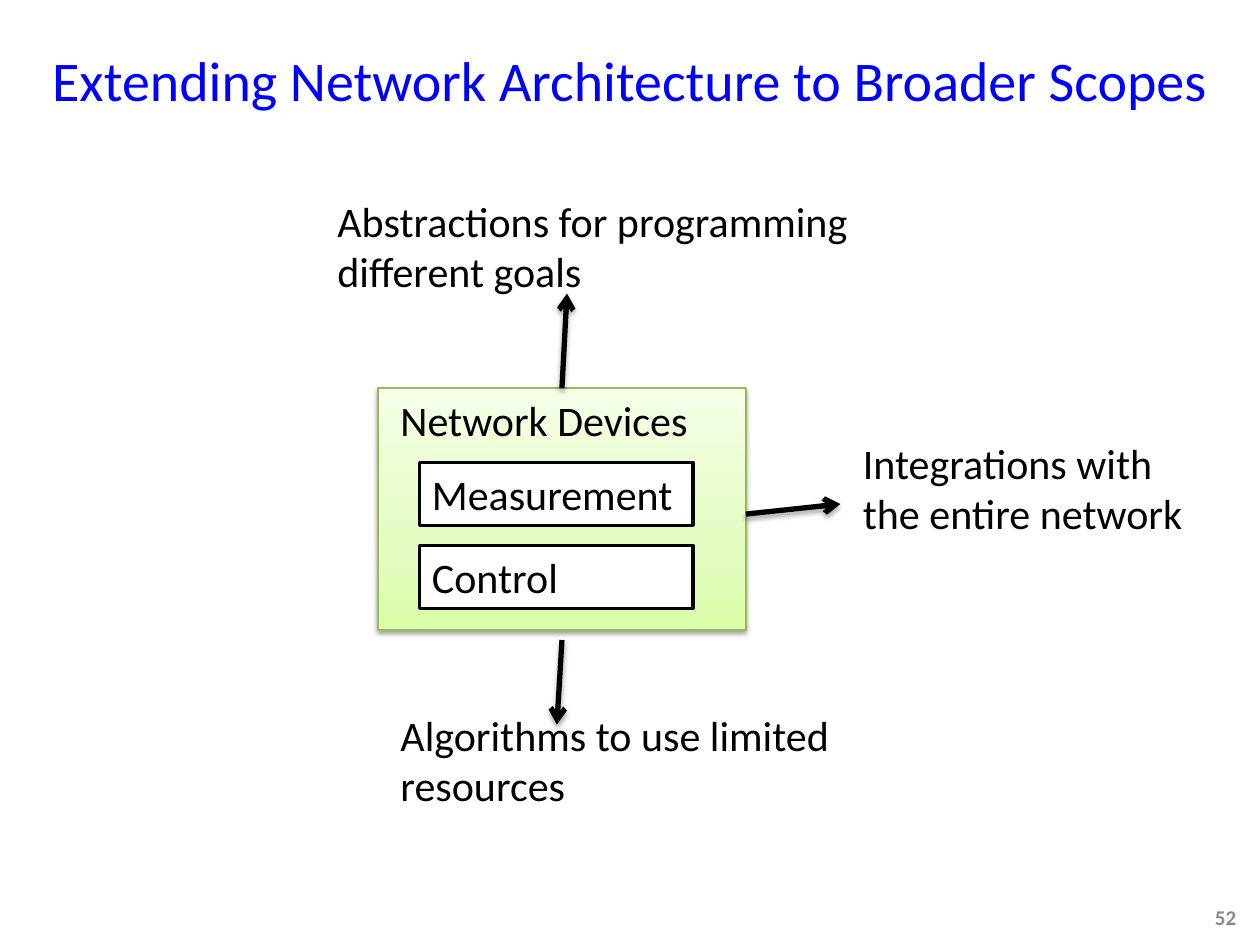
from lxml import etree
from pptx import Presentation
from pptx import util as u
from pptx.dml.color import RGBColor
from pptx.enum import shapes, text
from pptx.oxml import parse_xml
from pptx.oxml.ns import nsdecls, qn

BLACK = RGBColor(0x00, 0x00, 0x00)
WHITE = RGBColor(0xFF, 0xFF, 0xFF)
BLUE = RGBColor(0x00, 0x00, 0xFF)
GREY = RGBColor(0x89, 0x89, 0x89)
GREEN_LINE = RGBColor(0x98, 0xB9, 0x55)
GREEN_STOPS = [
    (0, RGBColor(0xDA, 0xFD, 0xA7)),
    (35, RGBColor(0xE4, 0xFC, 0xC2)),
    (100, RGBColor(0xF5, 0xFF, 0xE7)),
]
FONT = "Calibri"


def inches(*values):
    """Convert numbers to lengths."""
    return [u.Inches(v) for v in values]


def write(sp, words, size=24, color=BLACK, align=text.PP_ALIGN.LEFT,
          anchor=text.MSO_ANCHOR.TOP, bold=None):
    """Put one formatted run of text in a shape."""
    tf = sp.text_frame
    tf.word_wrap = True
    tf.vertical_anchor = anchor
    p = tf.paragraphs[0]
    p.alignment = align
    r = p.add_run()
    r.text = words
    r.font.name = FONT
    r.font.size = u.Pt(size)
    r.font.bold = bold
    r.font.color.rgb = color


def add_shadow(sp, alpha, distance):
    """Give a shape or connector a soft shadow straight below it."""
    sppr = sp._element.spPr
    for old in sppr.findall(qn("a:effectLst")):
        sppr.remove(old)
    sppr.append(parse_xml(
        f'<a:effectLst {nsdecls("a")}><a:outerShdw blurRad="{u.Pt(3.1)}" '
        f'dist="{u.Pt(distance)}" dir="5400000" rotWithShape="0">'
        f'<a:srgbClr val="{BLACK}"><a:alpha val="{alpha * 1000}"/></a:srgbClr>'
        '</a:outerShdw></a:effectLst>'))


def add_title(s, words):
    """Fill and place the title placeholder."""
    sp = s.shapes.title
    sp.left, sp.top, sp.width, sp.height = inches(0, 0, 10, 1.25)
    write(sp, words, 32, BLUE, text.PP_ALIGN.CENTER, text.MSO_ANCHOR.MIDDLE)


def add_label(s, words, box, **style):
    """Add a text box."""
    sp = s.shapes.add_textbox(*inches(*box))
    write(sp, words, **style)


def add_box(s, box, line_color, line_width):
    """Add a rectangle with an outline and no shadow."""
    sp = s.shapes.add_shape(shapes.MSO_SHAPE.RECTANGLE, *inches(*box))
    sp.shadow.inherit = False
    sp.line.color.rgb = line_color
    sp.line.width = u.Pt(line_width)
    return sp


def add_device(s, box):
    """Add the shaded green rectangle for the network devices."""
    sp = add_box(s, box, GREEN_LINE, 0.75)
    sp.fill.gradient()
    sp.fill.gradient_angle = 90
    stops = sp._element.spPr.find(".//" + qn("a:gsLst"))
    for stop in list(stops):
        stops.remove(stop)
    for position, color in GREEN_STOPS:
        gs = etree.SubElement(stops, qn("a:gs"), pos=str(position * 1000))
        etree.SubElement(gs, qn("a:srgbClr"), val=str(color))
    add_shadow(sp, 38, 1.6)
    return sp


def add_module(s, words, top):
    """Add a white module box inside the device."""
    sp = add_box(s, (3.33, top, 2.17, 0.5), BLACK, 2)
    sp.fill.solid()
    sp.fill.fore_color.rgb = WHITE
    write(sp, words)


def add_arrow(s, start, end):
    """Add a thick black arrow."""
    line = s.shapes.add_connector(shapes.MSO_CONNECTOR.STRAIGHT,
                                  *inches(*start, *end))
    line.line.color.rgb = BLACK
    line.line.width = u.Pt(3)
    etree.SubElement(line.line._get_or_add_ln(), qn("a:tailEnd"), type="arrow")
    add_shadow(line, 35, 1.8)
    return line


def main():
    """Build the slide."""
    prs = Presentation()
    prs.slide_width, prs.slide_height = inches(10, 7.5)
    s = prs.slides.add_slide(prs.slide_layouts[5])

    device = add_device(s, (3, 3.08, 2.92, 1.92))
    add_title(s, "Extending Network Architecture to Broader Scopes")
    add_label(s, "52", (7.58, 7.08, 2.33, 0.4), size=12, color=GREY, bold=True,
              align=text.PP_ALIGN.RIGHT, anchor=text.MSO_ANCHOR.MIDDLE)
    for words, top in [("Measurement", 3.67), ("Control", 4.33)]:
        add_module(s, words, top)
    add_label(s, "Network Devices", (3.08, 3.08, 2.67, 0.5))

    add_label(s, "Abstractions for programming different goals",
              (2.58, 1.5, 4.5, 0.91))
    add_arrow(s, (4.46, 3.08), (4.5, 2.33)).begin_connect(device, 0)
    add_label(s, "Algorithms to use limited resources",
              (3.08, 5.58, 3.75, 0.91))
    add_arrow(s, (4.46, 5.08), (4.42, 5.75))
    add_arrow(s, (5.92, 4.08), (6.67, 4))
    add_label(s, "Integrations with the entire network",
              (6.75, 3.42, 2.92, 0.91))

    prs.save("out.pptx")


if __name__ == "__main__":
    main()
